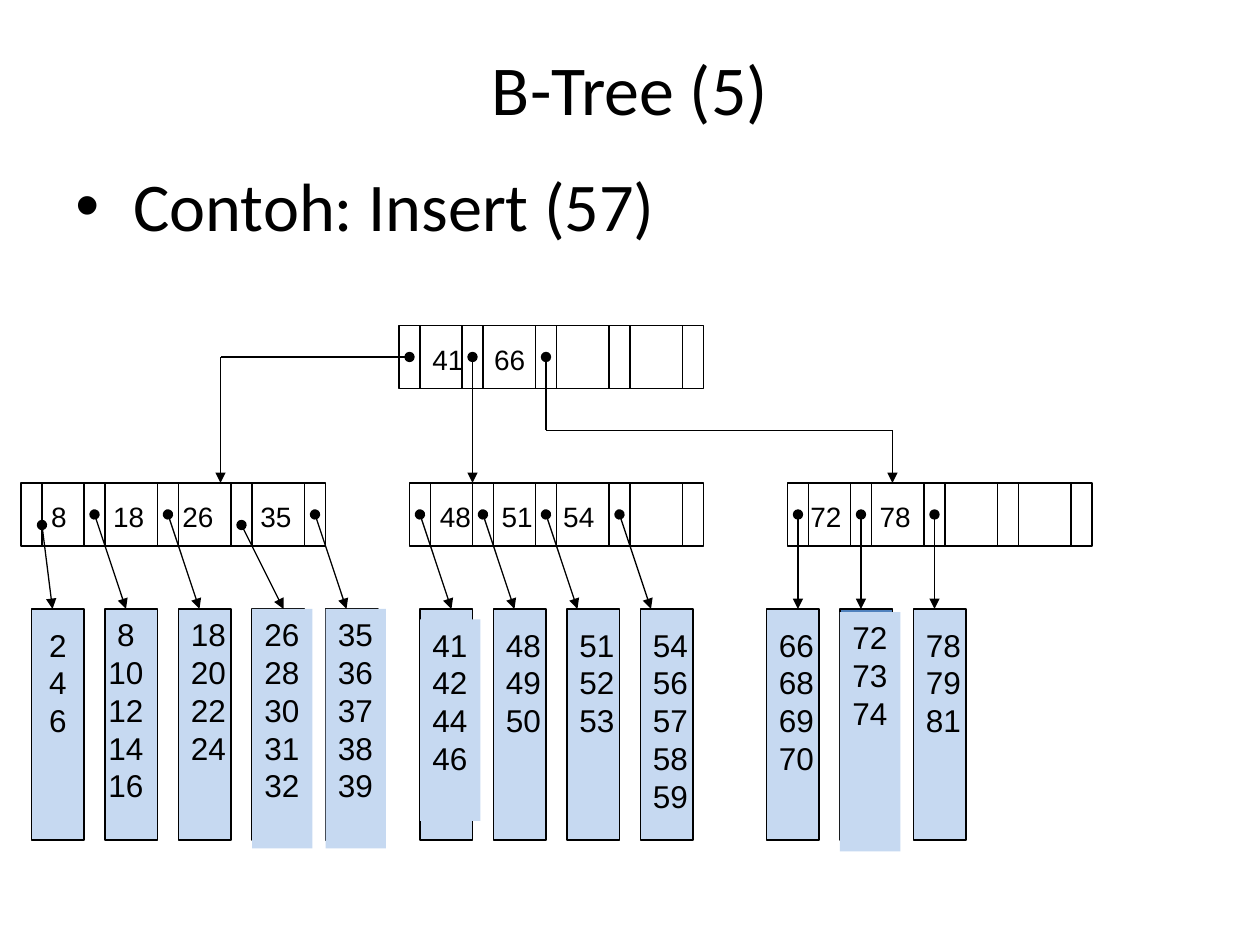
from pptx import Presentation
from pptx import util as u
from pptx.dml import color
from pptx.enum import shapes, text
from pptx.oxml import ns
from lxml import etree

COLORS = {"ink": "000000", "leaf": "C6D9F1", "dark": "4F81BD"}
UNIT = u.Inches(1) // 12
LEAF_TOP, LEAF_WIDTH, LEAF_HEIGHT = 58, 5, 22
NODE_HEIGHT, POINTER_WIDTH = 6, 2
ROOT_TOP, CHILD_TOP = 31, 46

NODES = [
    dict(left=38, top=ROOT_TOP, widths=(4, 5, 5, 5), keys="41\t66",
         text_left=40, text_top=32, stops=(0.49,)),
    dict(left=2, top=CHILD_TOP, widths=(4, 5, 5, 5), keys="8\t18\t26\t35",
         text_left=3.7, stops=(0.49, 1.04, 1.66)),
    dict(left=39, top=CHILD_TOP, widths=(4, 4, 5, 5), keys="48\t51\t54",
         text_left=40.7, stops=(0.49, 0.98)),
    dict(left=75, top=CHILD_TOP, widths=(4, 5, 5, 5), keys="72\t78",
         text_left=76, stops=(0.55,)),
]

LEAVES = [
    dict(left=3, keys="2 4 6", pointer=(4, 50), target=5,
         label=dict(left=3.5, width=4, height=12, fill="leaf", wrap=True)),
    dict(left=10, keys="8 10 12 14 16", pointer=(9, 49), target=12,
         label=dict(left=9, top=58, width=6, wrap=True, align="CENTER")),
    dict(left=17, keys="18 20 22 24", pointer=(16, 49), target=19, label=dict(top=58)),
    dict(left=24, keys="26 28 30 31 32", pointer=(23, 50), target=27, fill="dark",
         label=dict(top=58, height=22.8, fill="leaf")),
    dict(left=31, keys="35 36 37 38 39", pointer=(30, 49), target=33, fill="dark",
         label=dict(top=58, height=22.8, fill="leaf")),
    dict(left=40, keys="41 42 44 46", pointer=(40, 49), target=43, label=dict(fill="leaf")),
    dict(left=47, keys="48 49 50", pointer=(46, 49), target=49),
    dict(left=54, keys="51 52 53", pointer=(52, 49), target=55),
    dict(left=61, keys="54 56 57 58 59", pointer=(59, 49), target=62),
    dict(left=73, keys="66 68 69 70", pointer=(76, 49), target=76),
    dict(left=80, keys="72 73 74", pointer=(82, 49), target=82, fill="dark",
         label=dict(top=58.3, height=22.8, fill="leaf")),
    dict(left=87, keys="78 79 81", pointer=(89, 49), target=89),
]

ROOT_ROUTES = [
    [(39, 34), (21, 34), (21, CHILD_TOP)],
    [(45, 34), (45, CHILD_TOP)],
    [(52, 34), (52, 41), (85, 41), (85, CHILD_TOP)],
]


def rgb(name):
    return color.RGBColor.from_string(COLORS[name])


def write(shape, lines, size, font="Arial", align="LEFT", anchor="TOP",
          wrap=True, stops=(), bullet=None, indent=0):
    frame = shape.text_frame
    frame.word_wrap = wrap
    frame.auto_size = text.MSO_AUTO_SIZE.NONE
    frame.vertical_anchor = getattr(text.MSO_ANCHOR, anchor)
    for index, line in enumerate(lines):
        paragraph = frame.add_paragraph() if index else frame.paragraphs[0]
        paragraph.alignment = getattr(text.PP_ALIGN, align)
        properties = paragraph._p.get_or_add_pPr()
        if bullet:
            properties.set("marL", str(u.Inches(indent)))
            properties.set("indent", str(-u.Inches(indent)))
            etree.SubElement(properties, ns.qn("a:buFont"), typeface="Arial")
            etree.SubElement(properties, ns.qn("a:buChar"), char=bullet)
        if stops:
            tabs = etree.SubElement(properties, ns.qn("a:tabLst"))
            for stop in stops:
                etree.SubElement(tabs, ns.qn("a:tab"), pos=str(u.Inches(stop)), algn="l")
        run = paragraph.add_run()
        run.text = line
        run.font.name = font
        run.font.size = u.Pt(size)
        run.font.color.rgb = rgb("ink")


class TreeSlide:
    """Draws B-tree parts on a slide with a grid of 120 columns by 90 rows."""

    def __init__(self, slide, line_width=0.75):
        self.slide = slide
        self.line_width = u.Pt(line_width)

    def place(self, *lengths):
        return [round(length * UNIT) for length in lengths]

    def text_box(self, left, top, width, height, lines, size, **style):
        box = self.slide.shapes.add_textbox(*self.place(left, top, width, height))
        write(box, lines, size, **style)
        return box

    def rectangle(self, left, top, width, height, fill=None):
        shape = self.slide.shapes.add_shape(
            shapes.MSO_SHAPE.RECTANGLE, *self.place(left, top, width, height))
        shape.shadow.inherit = False
        if fill:
            shape.fill.solid()
            shape.fill.fore_color.rgb = rgb(fill)
        else:
            shape.fill.background()
        shape.line.color.rgb = rgb("ink")
        shape.line.width = self.line_width

    def line(self, start, end, head=None, tail=None):
        connector = self.slide.shapes.add_connector(
            shapes.MSO_CONNECTOR.STRAIGHT, *self.place(*start, *end))
        connector.line.color.rgb = rgb("ink")
        connector.line.width = self.line_width
        outline = connector.line._get_or_add_ln()
        for tag, kind in (("a:headEnd", head), ("a:tailEnd", tail)):
            if kind:
                etree.SubElement(outline, ns.qn(tag), type=kind)
        etree.SubElement(connector._element.spPr, ns.qn("a:effectLst"))

    def route(self, points):
        last = len(points) - 2
        for index, (start, end) in enumerate(zip(points, points[1:])):
            self.line(start, end, head=None if index else "oval",
                      tail="triangle" if index == last else None)

    def node(self, left, top, widths, keys, text_left, stops, text_top=47):
        edge = left
        bottom = top + NODE_HEIGHT
        self.rectangle(left, top, sum(widths) + POINTER_WIDTH * len(widths), NODE_HEIGHT)
        for index, width in enumerate(widths):
            if index:
                self.line((edge, top), (edge, bottom))
            edge += POINTER_WIDTH
            self.line((edge, top), (edge, bottom))
            edge += width
        self.rectangle(edge, top, POINTER_WIDTH, NODE_HEIGHT)
        self.text_box(text_left, text_top, 26, 4.4, [keys], 16, stops=stops)

    def leaf(self, left, keys, pointer, target, fill="leaf", label=None):
        self.rectangle(left, LEAF_TOP, LEAF_WIDTH, LEAF_HEIGHT, fill)
        style = dict(left=left, top=59, width=5.76, height=19.2, wrap=False)
        style.update(label or {})
        label_fill = style.pop("fill", None)
        box = self.text_box(lines=keys.split(), size=18, **style)
        if label_fill:
            box.fill.solid()
            box.fill.fore_color.rgb = rgb(label_fill)
        self.route([pointer, (target, LEAF_TOP)])


def main():
    presentation = Presentation()
    presentation.slide_width = 120 * UNIT
    presentation.slide_height = 90 * UNIT
    tree = TreeSlide(presentation.slides.add_slide(presentation.slide_layouts[6]))
    tree.text_box(6, 3.6, 108, 9.4, ["B-Tree (5)"], 40, font="Calibri",
                  align="CENTER", anchor="MIDDLE")
    tree.text_box(6, 15, 108, 65.4, ["Contoh: Insert (57)"], 39, font="Calibri",
                  bullet="•", indent=0.46)
    for node in NODES:
        tree.node(**node)
    for leaf in LEAVES:
        tree.leaf(**leaf)
    for points in ROOT_ROUTES:
        tree.route(points)
    presentation.save("out.pptx")


if __name__ == "__main__":
    main()
